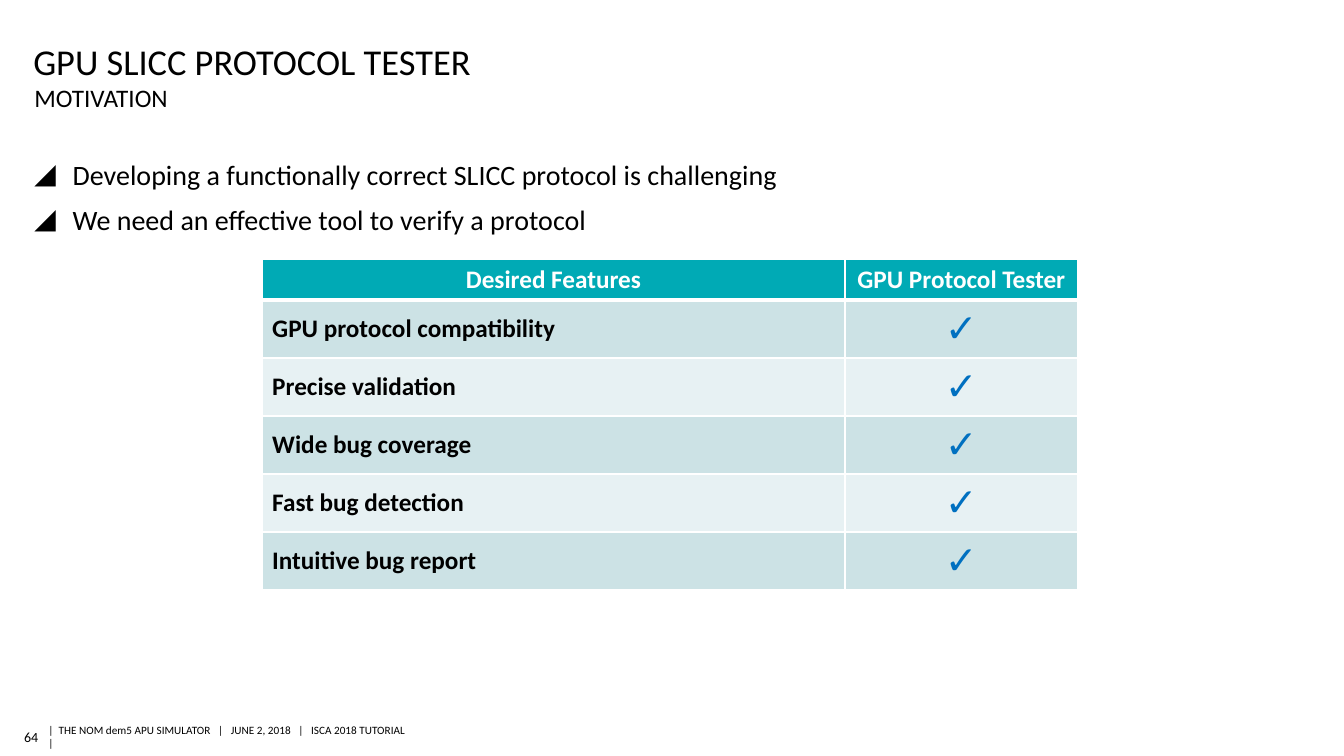
from lxml.etree import SubElement
from pptx import Presentation
from pptx.dml.color import RGBColor
from pptx.enum.text import MSO_ANCHOR as Anchor, MSO_AUTO_SIZE as AutoSize, PP_ALIGN as Align
from pptx.oxml.ns import qn
from pptx.util import Inches, Pt

TITLE = "GPU SLICC PROTOCOL TESTER"
SUBTITLE = "MOTIVATION"
BULLETS = [
    "Developing a functionally correct SLICC protocol is challenging",
    "We need an effective tool to verify a protocol",
]
HEADERS = ["Desired Features", "GPU Protocol Tester"]
FEATURES = [
    "GPU protocol compatibility",
    "Precise validation",
    "Wide bug coverage",
    "Fast bug detection",
    "Intuitive bug report",
]
CHECK = "✓"
PAGE_NUMBER = "64"
FOOTER = "|  THE NOM dem5 APU SIMULATOR   |   JUNE 2, 2018   |   ISCA 2018 TUTORIAL   |"

FONT = "Calibri"
BLACK, WHITE, TEAL, BLUE = "000000", "FFFFFF", "00AAB5", "0070C0"
BANDS = ["CCE2E5", "E7F1F3"]
COLUMN_WIDTHS = [5.78, 2.31]
HEADER_HEIGHT, ROW_HEIGHT = 0.4, 0.57


def color(value):
    return RGBColor.from_string(value)


def place(shape, left, top, width, height):
    shape.left, shape.top = Inches(left), Inches(top)
    shape.width, shape.height = Inches(width), Inches(height)


def style(para, size, fill=BLACK, bold=False, align=Align.LEFT):
    para.alignment = align
    for span in para.runs:
        span.font.name, span.font.size, span.font.bold = FONT, Pt(size), bold
        span.font.color.rgb = color(fill)


def set_frame(frame, anchor, top=0.0, bottom=0.0, wrap=True):
    frame.margin_left = frame.margin_right = 0
    frame.margin_top, frame.margin_bottom = Inches(top), Inches(bottom)
    frame.vertical_anchor = anchor
    frame.word_wrap = wrap
    frame.auto_size = AutoSize.NONE


def set_bullet(para, char=None, indent=0.0):
    """Give the paragraph a hanging bullet, or none without a char."""
    props = para._p.get_or_add_pPr()
    props.set("marL", str(Inches(indent)))
    props.set("indent", str(-Inches(indent)))
    if char:
        tint = SubElement(props, qn("a:buClr"))
        SubElement(tint, qn("a:srgbClr"), val=BLACK)
        SubElement(props, qn("a:buChar"), char=char)
    else:
        SubElement(props, qn("a:buNone"))


def set_borders(cell, **widths):
    props = cell._tc.get_or_add_tcPr()
    for side in "LRTB":
        line = SubElement(props, qn(f"a:ln{side}"), w=str(Pt(widths.get(side, 1))))
        fill = SubElement(line, qn("a:solidFill"))
        SubElement(fill, qn("a:srgbClr"), val=WHITE)


def fill_cell(cell, text, fill, size, ink, bold, align, **widths):
    cell.text_frame.text = text
    cell.vertical_anchor = Anchor.MIDDLE
    style(cell.text_frame.paragraphs[0], size, ink, bold, align)
    set_borders(cell, **widths)
    cell.fill.solid()
    cell.fill.fore_color.rgb = color(fill)


def add_headings(page):
    title, body, subtitle = page.placeholders
    place(title, 0.33, 0.3, 11.4, 0.52)
    title.text_frame.text = TITLE
    set_frame(title.text_frame, Anchor.BOTTOM, top=0.05)
    style(title.text_frame.paragraphs[0], 26)

    place(subtitle, 0.34, 0.82, 11.4, 0.31)
    subtitle.text_frame.text = SUBTITLE
    set_frame(subtitle.text_frame, Anchor.TOP)
    para = subtitle.text_frame.paragraphs[0]
    para.space_before = Pt(0)
    style(para, 18)
    set_bullet(para)

    place(body, 0.34, 1.51, 12.4, 5.4)
    body.text_frame.text = "\n".join(BULLETS)
    set_frame(body.text_frame, Anchor.TOP, 0.05, 0.05)
    for para in body.text_frame.paragraphs:
        para.space_before = Pt(8)
        style(para, 20)
        set_bullet(para, "◢", 0.38)


def add_feature_table(page):
    height = HEADER_HEIGHT + ROW_HEIGHT * len(FEATURES)
    table = page.shapes.add_table(
        len(FEATURES) + 1, len(HEADERS), Inches(2.6), Inches(2.57),
        Inches(sum(COLUMN_WIDTHS)), Inches(height)).table
    for column, width in zip(table.columns, COLUMN_WIDTHS):
        column.width = Inches(width)
    table.rows[0].height = Inches(HEADER_HEIGHT)
    for index, header in enumerate(HEADERS):
        fill_cell(table.cell(0, index), header, TEAL, 18, WHITE, True, Align.CENTER, B=3)
    for index, feature in enumerate(FEATURES):
        row, band = index + 1, BANDS[index % 2]
        top = 3 if index == 0 else 1
        table.rows[row].height = Inches(ROW_HEIGHT)
        fill_cell(table.cell(row, 0), feature, band, 18, BLACK, True, Align.LEFT, T=top)
        fill_cell(table.cell(row, 1), CHECK, band, 28, BLUE, False, Align.CENTER, T=top)


def add_footer_text(page, text, area, size, align, wrap):
    box = page.shapes.add_textbox(*map(Inches, area))
    box.text_frame.text = text
    set_frame(box.text_frame, Anchor.MIDDLE, 0.04, 0.04, wrap)
    style(box.text_frame.paragraphs[0], size, align=align)


def main():
    deck = Presentation()
    deck.slide_width, deck.slide_height = Inches(13.33), Inches(7.5)
    page = deck.slides.add_slide(deck.slide_layouts.get_by_name("Two Content"))
    add_headings(page)
    add_feature_table(page)
    add_footer_text(page, PAGE_NUMBER, (0.22, 7.18, 0.16, 0.26), 10, Align.RIGHT, False)
    add_footer_text(page, FOOTER, (0.48, 7.19, 3.65, 0.23), 8, Align.LEFT, True)
    deck.save("out.pptx")


if __name__ == "__main__":
    main()
